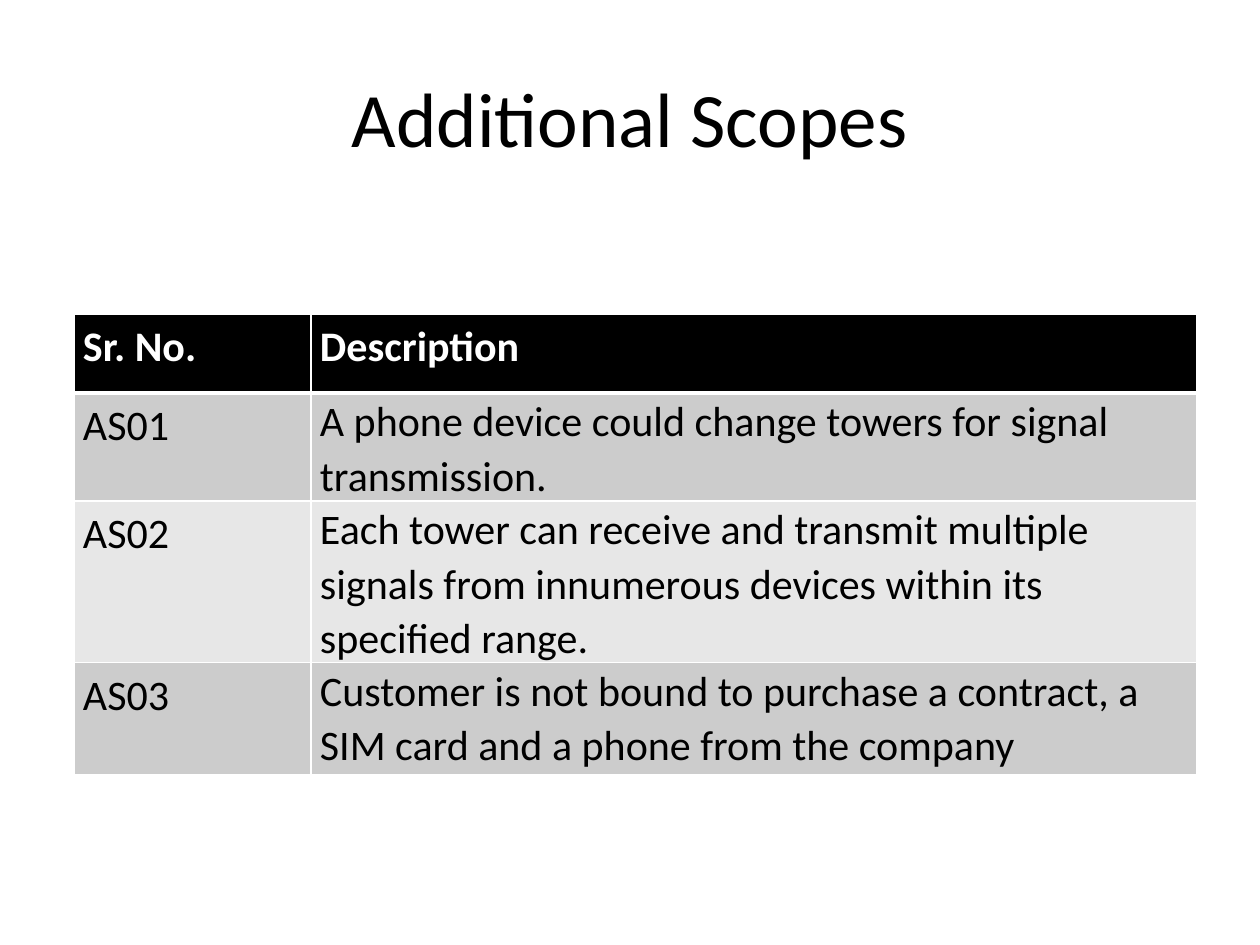
"""Build the Additional Scopes slide with its table of scope items."""
from typing import NamedTuple

from lxml.etree import SubElement
from pptx import Presentation
from pptx.dml.color import RGBColor
from pptx.enum.text import MSO_ANCHOR as Anchor, PP_ALIGN as Align
from pptx.oxml.ns import qn
from pptx.util import Emu, Pt

EMU_PER_PX = 914400 / 126
FONT = "Calibri"
BLACK = RGBColor(0x00, 0x00, 0x00)
WHITE = RGBColor(0xFF, 0xFF, 0xFF)
DARK_BAND = RGBColor(0xCC, 0xCC, 0xCC)
LIGHT_BAND = RGBColor(0xE7, 0xE7, 0xE7)
COLUMN_WIDTHS = (237, 886)
CELL_INSET = 9


class Scope(NamedTuple):
    number: str
    description: str
    height: int


HEADING = Scope("Sr. No.", "Description", 79)
SCOPES = (
    Scope("AS01", "A phone device could change towers for signal transmission.", 106),
    Scope("AS02", "Each tower can receive and transmit multiple signals from "
                  "innumerous devices within its specified range.", 156),
    Scope("AS03", "Customer is not bound to purchase a contract, a SIM card and "
                  "a phone from the company", 112),
)


def px(length: int) -> Emu:
    return Emu(round(length * EMU_PER_PX))


def add_run(paragraph, words: str, size: int, color: RGBColor, bold: bool = False) -> None:
    run = paragraph.add_run()
    run.text = words
    run.font.name = FONT
    run.font.size = Pt(size)
    run.font.bold = bold
    run.font.color.rgb = color


def set_borders(cell, bottom_width: int) -> None:
    properties = cell._tc.get_or_add_tcPr()
    widths = {"a:lnL": 1, "a:lnR": 1, "a:lnT": 1, "a:lnB": bottom_width}
    for position, (side, width) in enumerate(widths.items()):
        border = SubElement(properties, qn(side), w=str(Pt(width)))
        fill = SubElement(border, qn("a:solidFill"))
        SubElement(fill, qn("a:srgbClr"), val=str(WHITE))
        properties.insert(position, border)


def fill_cell(cell, words: str, band: RGBColor, heading: bool, prose: bool) -> None:
    cell.margin_left = cell.margin_right = px(CELL_INSET)
    cell.margin_top = cell.margin_bottom = 0
    cell.fill.solid()
    cell.fill.fore_color.rgb = band
    set_borders(cell, 3 if heading else 1)
    paragraph = cell.text_frame.paragraphs[0]
    paragraph.line_spacing = 1.07 if prose else 1.15
    if prose:
        paragraph.space_after = Pt(8)
    add_run(paragraph, words, 24, WHITE if heading else BLACK, heading)


def add_title(slide, words: str) -> None:
    frame = slide.shapes.add_textbox(px(63), px(38), px(1134), px(157)).text_frame
    frame.word_wrap = True
    frame.vertical_anchor = Anchor.MIDDLE
    paragraph = frame.paragraphs[0]
    paragraph.alignment = Align.CENTER
    add_run(paragraph, words, 44, BLACK)


def add_scope_table(slide) -> None:
    entries = (HEADING, *SCOPES)
    table = slide.shapes.add_table(
        len(entries), len(COLUMN_WIDTHS), px(74), px(314),
        px(sum(COLUMN_WIDTHS)), px(sum(entry.height for entry in entries))).table
    for column, width in zip(table.columns, COLUMN_WIDTHS):
        column.width = px(width)
    for index, (row, entry) in enumerate(zip(table.rows, entries)):
        row.height = px(entry.height)
        heading = index == 0
        band = BLACK if heading else DARK_BAND if index % 2 else LIGHT_BAND
        number_cell, description_cell = row.cells
        fill_cell(number_cell, entry.number, band, heading, prose=False)
        fill_cell(description_cell, entry.description, band, heading, prose=not heading)


def main() -> None:
    deck = Presentation()
    deck.slide_width, deck.slide_height = px(1260), px(945)
    slide = deck.slides.add_slide(deck.slide_layouts[6])
    add_title(slide, "Additional Scopes")
    add_scope_table(slide)
    deck.save("out.pptx")


if __name__ == "__main__":
    main()
